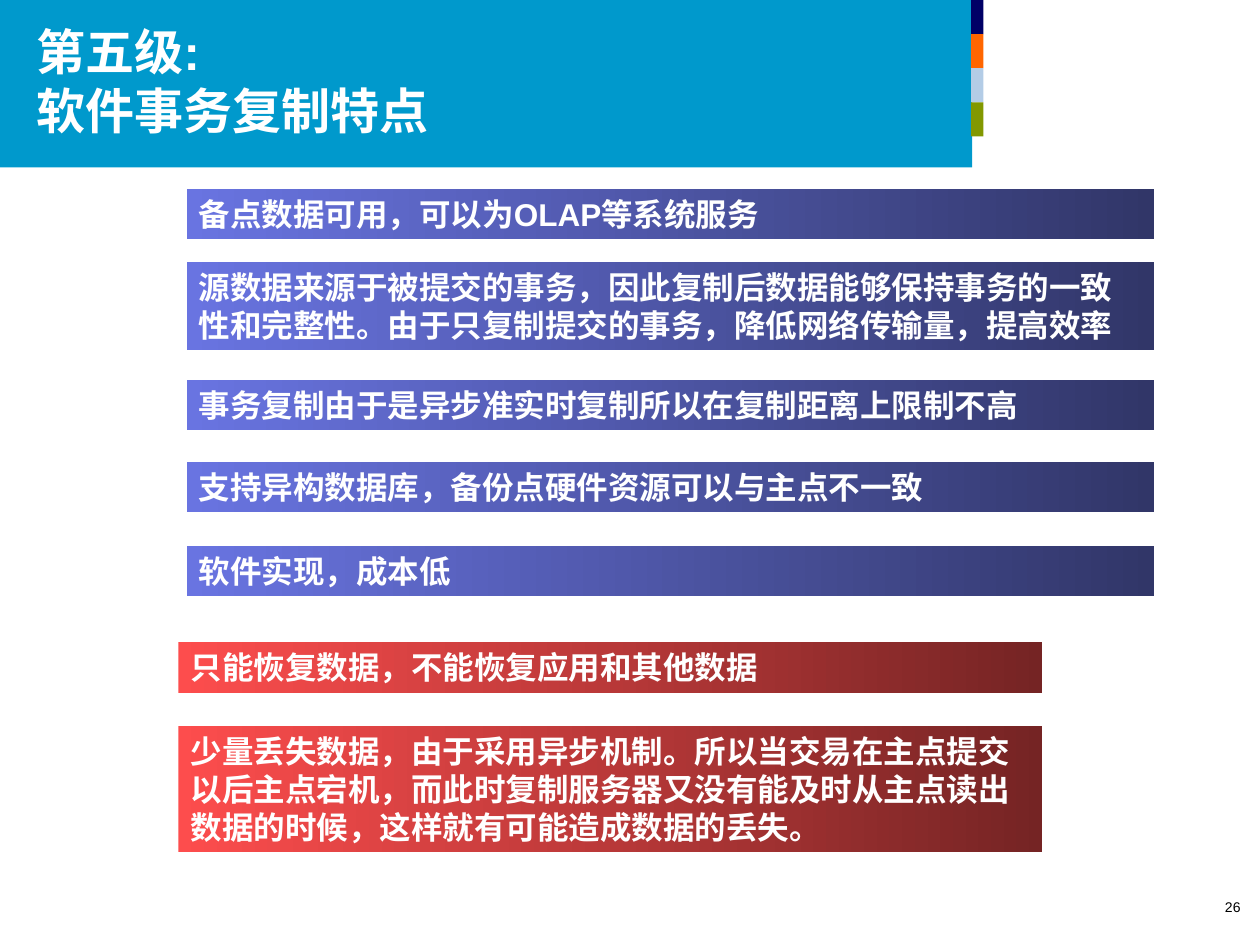
"""Build the slide on level five: features of software transaction replication."""
from pptx import Presentation
from pptx.dml.color import RGBColor
from pptx.enum import shapes, text
from pptx.util import Pt

WHITE = RGBColor(0xFF, 0xFF, 0xFF)
BLACK = RGBColor(0x00, 0x00, 0x00)
BANNER = RGBColor(0x00, 0x99, 0xCC)
STRIPES = [
    RGBColor(0x00, 0x00, 0x66),
    RGBColor(0xFF, 0x66, 0x00),
    RGBColor(0xB3, 0xCC, 0xE6),
    RGBColor(0x82, 0x98, 0x00),
]
BLUES = (RGBColor(0x69, 0x74, 0xE1), RGBColor(0x31, 0x36, 0x68))
REDS = (RGBColor(0xFD, 0x4D, 0x4D), RGBColor(0x75, 0x24, 0x24))

TITLE = "第五级:\v软件事务复制特点"
PAGE_NUMBER = "26"
STRENGTHS = [
    (108, 1, "备点数据可用，可以为OLAP等系统服务"),
    (149.8, 2, "源数据来源于被提交的事务，因此复制后数据能够保持事务的一致性和完整性。"
               "由于只复制提交的事务，降低网络传输量，提高效率"),
    (217.2, 1, "事务复制由于是异步准实时复制所以在复制距离上限制不高"),
    (264, 1, "支持异构数据库，备份点硬件资源可以与主点不一致"),
    (312, 1, "软件实现，成本低"),
]
LIMITS = [
    (367, 1, "只能恢复数据，不能恢复应用和其他数据"),
    (415, 3, "少量丢失数据，由于采用异步机制。所以当交易在主点提交以后主点宕机，"
             "而此时复制服务器又没有能及时从主点读出数据的时候，这样就有可能造成数据的丢失。"),
]
GROUPS = [(106.6, 553, BLUES, STRENGTHS), (102, 493.4, REDS, LIMITS)]
LINE_HEIGHT = 21.6
INSETS = 7.2
STRIPE_HEIGHT = 19.5


def add_block(page, left, top, width, height):
    block = page.shapes.add_shape(
        shapes.MSO_SHAPE.RECTANGLE, Pt(left), Pt(top), Pt(width), Pt(height))
    block.shadow.inherit = False
    block.line.fill.background()
    return block


def add_solid(page, left, top, width, height, color):
    block = add_block(page, left, top, width, height)
    block.fill.solid()
    block.fill.fore_color.rgb = color
    return block


def write(box, words, size, color, bold, align, anchor):
    frame = box.text_frame
    frame.word_wrap = True
    frame.vertical_anchor = anchor
    para = frame.paragraphs[0]
    para.text = words
    para.alignment = align
    para.font.name = "Arial"
    para.font.size = Pt(size)
    para.font.bold = bold
    para.font.color.rgb = color


def add_bar(page, left, top, width, lines, colors, words):
    bar = add_block(page, left, top, width, lines * LINE_HEIGHT + INSETS)
    bar.fill.gradient()
    bar.fill.gradient_angle = 0
    for stop, color in zip(bar.fill.gradient_stops, colors):
        stop.color.rgb = color
    write(bar, words, 18, WHITE, True, text.PP_ALIGN.LEFT, text.MSO_ANCHOR.TOP)
    bar.text_frame.auto_size = text.MSO_AUTO_SIZE.SHAPE_TO_FIT_TEXT


def main():
    deck = Presentation()
    deck.slide_width, deck.slide_height = Pt(720), Pt(540)
    page = deck.slides.add_slide(deck.slide_layouts[6])

    add_solid(page, 0, 0, 555.6, 95.6, BANNER)
    for index, color in enumerate(STRIPES):
        add_solid(page, 555, index * STRIPE_HEIGHT, 7, STRIPE_HEIGHT, color)

    number = page.shapes.add_textbox(Pt(682), Pt(509.8), Pt(34), Pt(16.8))
    write(number, PAGE_NUMBER, 8, BLACK, False,
          text.PP_ALIGN.RIGHT, text.MSO_ANCHOR.BOTTOM)

    title = add_solid(page, 14, 1, 533.5, 90, BANNER)
    write(title, TITLE, 28, WHITE, True,
          text.PP_ALIGN.LEFT, text.MSO_ANCHOR.MIDDLE)

    for left, width, colors, bars in GROUPS:
        for top, lines, words in bars:
            add_bar(page, left, top, width, lines, colors, words)

    deck.save("out.pptx")


if __name__ == "__main__":
    main()
